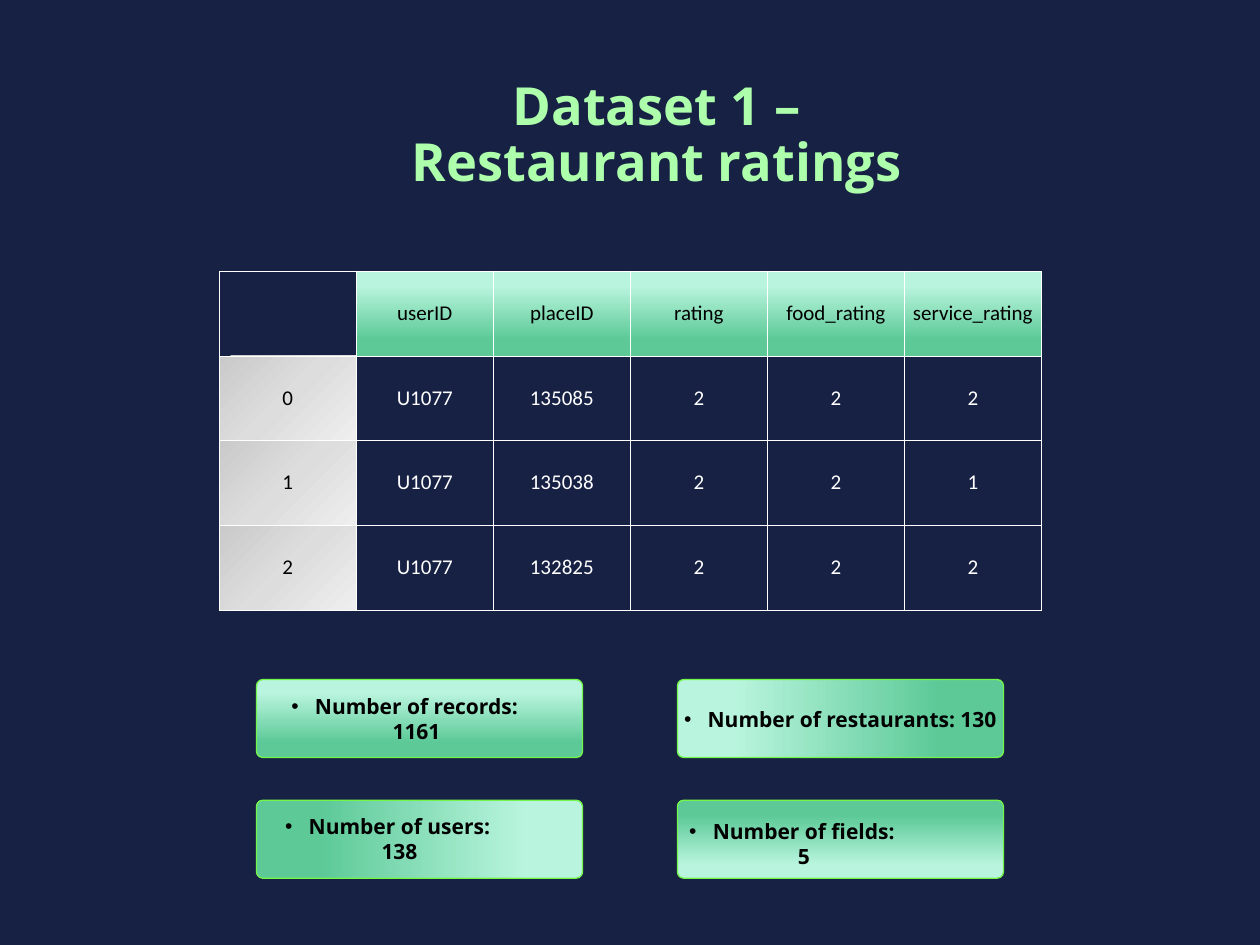
from copy import deepcopy

from lxml import etree
from pptx import Presentation
from pptx.dml.color import RGBColor
from pptx.enum.shapes import MSO_SHAPE
from pptx.enum.text import MSO_ANCHOR, MSO_AUTO_SIZE, PP_ALIGN
from pptx.oxml.ns import qn
from pptx.util import Cm, Pt

ROUNDED = MSO_SHAPE.ROUNDED_RECTANGLE
TOP, MIDDLE = MSO_ANCHOR.TOP, MSO_ANCHOR.MIDDLE
NO_FIT = MSO_AUTO_SIZE.NONE
CENTER = PP_ALIGN.CENTER

NAVY = RGBColor(0x17, 0x21, 0x44)
WHITE = RGBColor(0xFF, 0xFF, 0xFF)
BLACK = RGBColor(0x00, 0x00, 0x00)
CARD_EDGE = RGBColor(0x72, 0xF6, 0x4A)
MINT = RGBColor(0xB9, 0xF5, 0xDE)
JADE = RGBColor(0x5C, 0xC9, 0x97)
NEON = RGBColor(0x20, 0xFF, 0x1D)
LIME = RGBColor(0xAD, 0xFF, 0xAC)
PALE_LIME = RGBColor(0xCC, 0xFF, 0xCB)
GREY = RGBColor(0xCA, 0xCA, 0xCA)
MID_GREY = RGBColor(0xDD, 0xDD, 0xDD)
PALE_GREY = RGBColor(0xEE, 0xEE, 0xEE)

GREEN_STOPS = [(17, MINT), (81, JADE)]
GREY_STOPS = [(0, GREY), (50, MID_GREY), (100, PALE_GREY)]
TITLE_STOPS = [(0, NEON), (48, LIME), (100, PALE_LIME)]

TITLE_LINES = [["Dataset 1 ", "–"], ["Restaurant ratings"]]
RATINGS = [
    ["", "userID", "placeID", "rating", "food_rating", "service_rating"],
    ["0", "U1077", "135085", "2", "2", "2"],
    ["1", "U1077", "135038", "2", "2", "1"],
    ["2", "U1077", "132825", "2", "2", "2"],
]
# Label, column, row, gradient angle, then text offset x, offset y and width in cm
FACTS = [
    ("Number of records: 1161", 0, 0, 90, 0.25, 1.3, 15.44),
    ("Number of users: 138", 0, 1, 180, 0.25, 1.24, 13.61),
    ("Number of restaurants: 130", 1, 0, 0, 0, 1.3, 17.53),
    ("Number of fields: 5", 1, 1, 270, 0, 1.5, 12.32),
]


def set_gradient(fill, element, stops, angle):
    """Linear gradient; the angle runs clockwise."""
    fill.gradient()
    fill.gradient_angle = (360 - angle) % 360
    stop_list = next(element.iter(qn("a:gsLst")))
    while len(stop_list) < len(stops):
        stop_list.append(deepcopy(stop_list[0]))
    for stop, (percent, color) in zip(fill.gradient_stops, stops):
        stop.position = percent / 100
        stop.color.rgb = color


def add_run(paragraph, text, font_name, size, bold=False):
    run = paragraph.add_run()
    run.text = text
    run.font.name, run.font.size, run.font.bold = font_name, Pt(size), bold
    return run


def set_borders(cell, color, width):
    properties = cell._tc.get_or_add_tcPr()
    for side in ("a:lnL", "a:lnR", "a:lnT", "a:lnB"):
        line = etree.SubElement(properties, qn(side), w=str(width))
        solid = etree.SubElement(line, qn("a:solidFill"))
        etree.SubElement(solid, qn("a:srgbClr"), val=str(color))


def set_bullet(paragraph, indent):
    properties = paragraph._p.get_or_add_pPr()
    properties.set("marL", str(indent))
    properties.set("indent", str(-indent))
    etree.SubElement(properties, qn("a:buFont"), typeface="Arial")
    etree.SubElement(properties, qn("a:buChar"), char="•")


def place_title(slide, left, top, width, height):
    title = slide.shapes.title
    title.left, title.top, title.width, title.height = left, top, width, height
    frame = title.text_frame
    frame.auto_size = NO_FIT
    frame.vertical_anchor = TOP
    for index, line in enumerate(TITLE_LINES):
        paragraph = frame.add_paragraph() if index else frame.paragraphs[0]
        paragraph.alignment = CENTER
        paragraph.line_spacing = 0.9
        for text in line:
            run = add_run(paragraph, text, "Open Sans", 80, True)
            set_gradient(run.font.fill, run._r, TITLE_STOPS, 270)


def add_ratings_table(slide, left, top, width, height):
    table = slide.shapes.add_table(
        len(RATINGS), len(RATINGS[0]), left, top, width, height).table
    table.first_row = table.horz_banding = False
    for row, values in enumerate(RATINGS):
        for column, value in enumerate(values):
            cell = table.cell(row, column)
            cell.vertical_anchor = MIDDLE
            set_borders(cell, WHITE, Pt(1))
            is_header = row == 0 and column > 0
            is_index = column == 0 and row > 0
            if is_header:
                set_gradient(cell.fill, cell._tc, GREEN_STOPS, 90)
            elif is_index:
                set_gradient(cell.fill, cell._tc, GREY_STOPS, 45)
            else:
                cell.fill.background()
            if value:
                paragraph = cell.text_frame.paragraphs[0]
                paragraph.alignment = CENTER
                run = add_run(paragraph, value, "Calibri", 32)
                run.font.color.rgb = BLACK if is_header or is_index else WHITE


def add_fact(slide, left, top, width, height, label, angle, text_box):
    group = slide.shapes.add_group_shape()
    # Card
    card = group.shapes.add_shape(ROUNDED, left, top, width, height)
    card.adjustments[0] = 0.08
    card.shadow.inherit = False
    set_gradient(card.fill, card._element, GREEN_STOPS, angle)
    card.line.color.rgb = CARD_EDGE
    card.line.width = Pt(2)
    # Label
    offset_x, offset_y, text_width = text_box
    frame = group.shapes.add_textbox(
        left + Cm(offset_x), top + Cm(offset_y), Cm(text_width), Cm(1.63)).text_frame
    frame.word_wrap = True
    frame.auto_size = NO_FIT
    frame.vertical_anchor = MIDDLE
    paragraph = frame.paragraphs[0]
    paragraph.alignment = CENTER
    set_bullet(paragraph, Cm(1.27))
    add_run(paragraph, label, "Open Sans", 32, True).font.color.rgb = BLACK


def add_fact_grid(slide, left, top, width, height):
    card_width, card_height = Cm(17.53), Cm(4.19)
    for label, column, row, angle, *text_box in FACTS:
        add_fact(slide, left + column * (width - card_width),
                 top + row * (height - card_height),
                 card_width, card_height, label, angle, text_box)


def main():
    deck = Presentation()
    deck.slide_width, deck.slide_height = Cm(67.74), Cm(50.8)
    slide = deck.slides.add_slide(deck.slide_layouts[5])
    slide.background.fill.solid()
    slide.background.fill.fore_color.rgb = NAVY
    place_title(slide, Cm(13.87), Cm(4.17), Cm(42.88), Cm(7.09))
    add_ratings_table(slide, Cm(11.79), Cm(14.58), Cm(44.2), Cm(18.2))
    add_fact_grid(slide, Cm(13.79), Cm(36.53), Cm(40.16), Cm(10.68))
    deck.save("out.pptx")


if __name__ == "__main__":
    main()
